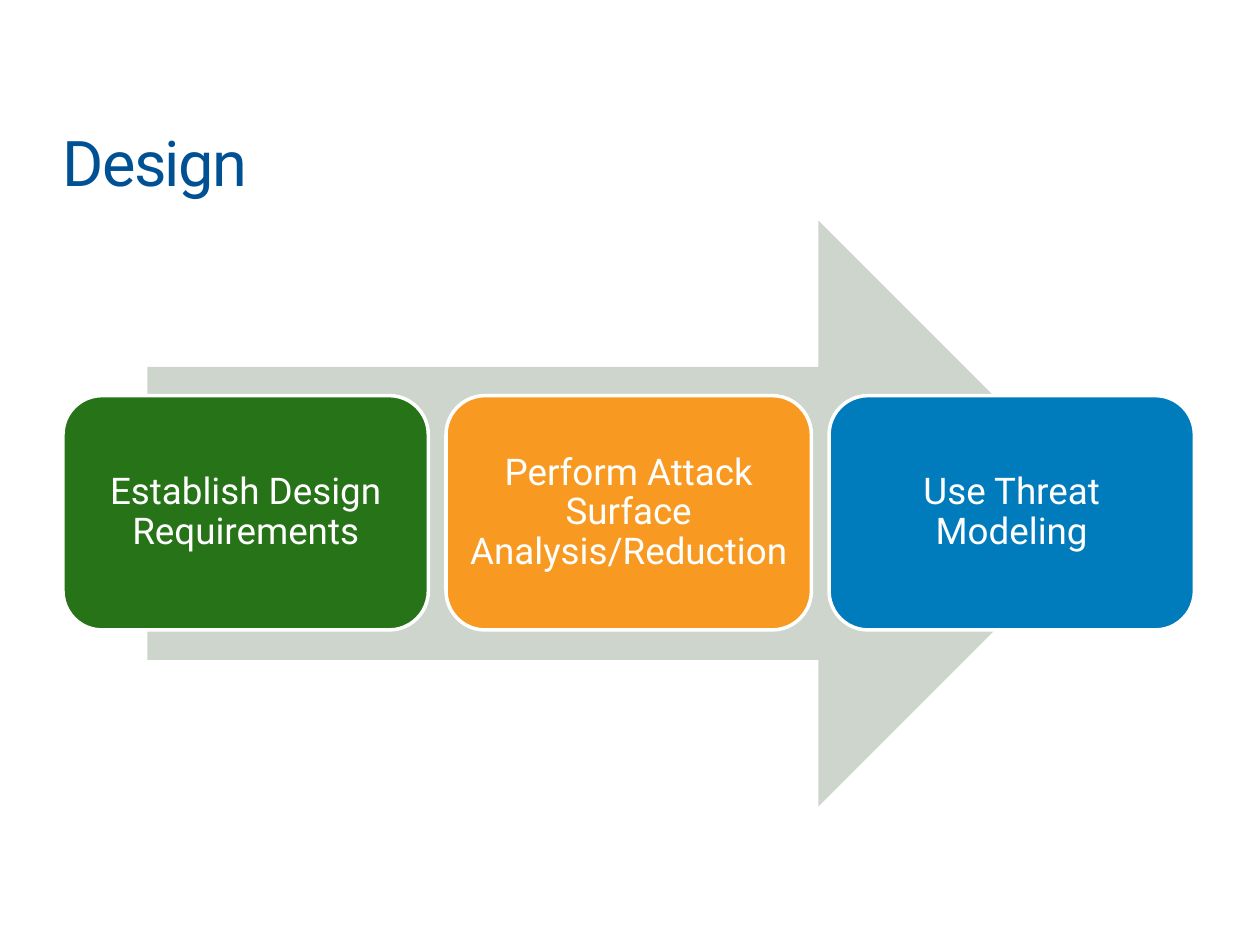
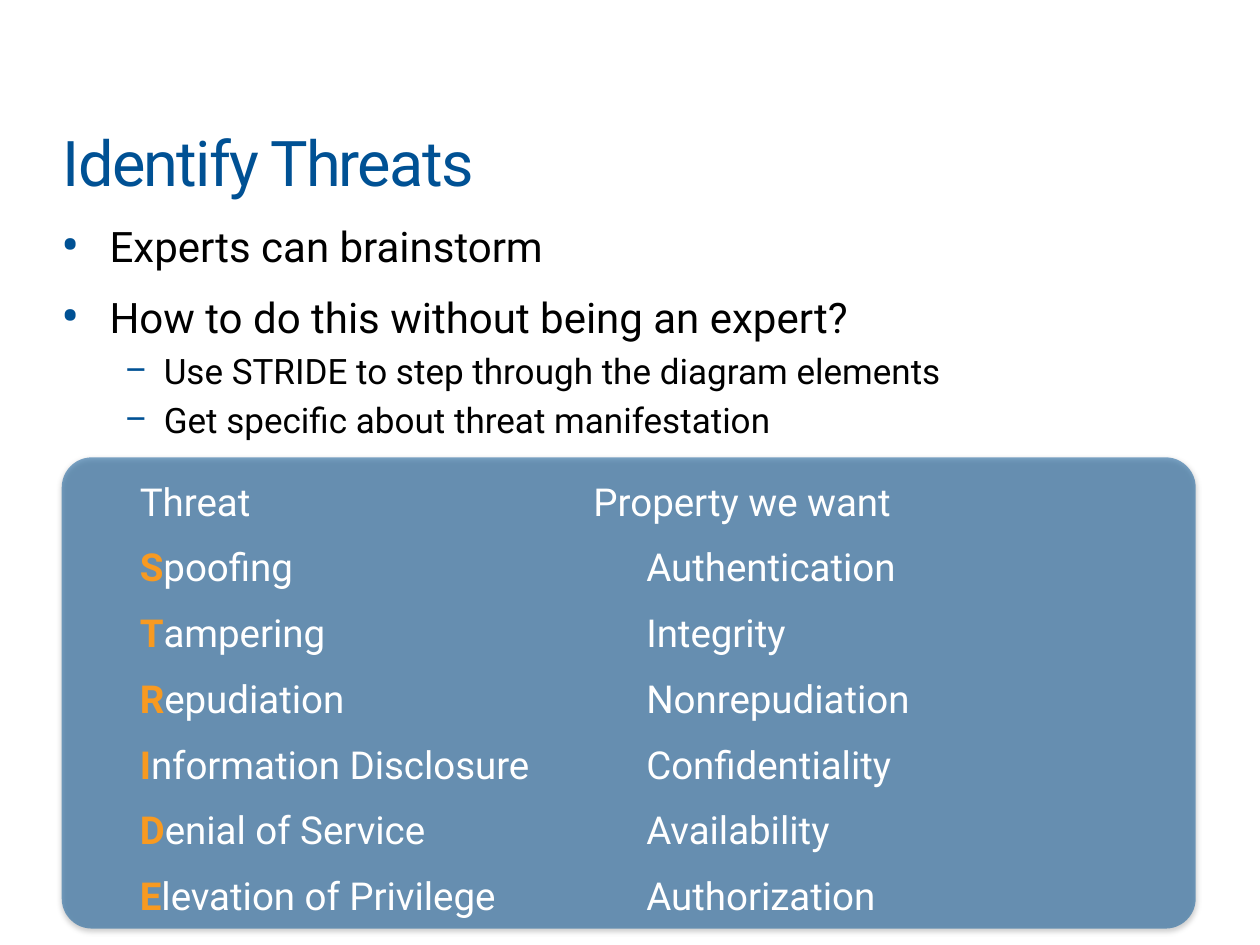
"""Builds two slides on secure design and on identifying threats."""
from dataclasses import dataclass

from lxml import etree
from pptx import Presentation
from pptx.dml.color import RGBColor
from pptx.enum.shapes import MSO_SHAPE
from pptx.enum.text import MSO_ANCHOR, PP_ALIGN
from pptx.oxml.ns import qn
from pptx.util import Inches, Pt

ROUNDED = MSO_SHAPE.ROUNDED_RECTANGLE
RIGHT_ARROW = MSO_SHAPE.RIGHT_ARROW
MIDDLE = MSO_ANCHOR.MIDDLE
CENTER = PP_ALIGN.CENTER

FONT = "Roboto"
COLORS = {
    "navy": "005194",
    "black": "000000",
    "white": "FFFFFF",
    "sage": "CDD5CC",
    "green": "277318",
    "orange": "F89A21",
    "blue": "007CBD",
}
NO_GRID_STYLE = "{2D5ABB26-0587-4C30-8999-92F81FD0307C}"


@dataclass(frozen=True)
class Card:
    text: str
    color: str


@dataclass(frozen=True)
class BulletStyle:
    symbol: str
    percent: int
    indent: float
    hanging: float
    size: int
    space_before: int


@dataclass(frozen=True)
class Bullet:
    text: str
    style: BulletStyle


@dataclass(frozen=True)
class Threat:
    name: str
    wanted: str


MAIN = BulletStyle("•", 130, 0.38, 0.38, 24, 12)
SUB = BulletStyle("–", 100, 0.81, 0.31, 20, 4)

CARDS = [
    Card("Establish Design Requirements", "green"),
    Card("Perform Attack Surface Analysis/Reduction", "orange"),
    Card("Use Threat Modeling", "blue"),
]
BULLETS = [
    Bullet("Experts can brainstorm", MAIN),
    Bullet("How to do this without being an expert?", MAIN),
    Bullet("Use STRIDE to step through the diagram elements", SUB),
    Bullet("Get specific about threat manifestation", SUB),
]
THREATS = [
    Threat("Spoofing", "Authentication"),
    Threat("Tampering", "Integrity"),
    Threat("Repudiation", "Nonrepudiation"),
    Threat("Information Disclosure", "Confidentiality"),
    Threat("Denial of Service", "Availability"),
    Threat("Elevation of Privilege", "Authorization"),
]


def rgb(name: str) -> RGBColor:
    return RGBColor.from_string(COLORS[name])


def add_span(para, text: str, size: int, color: str, bold: bool = False):
    span = para.add_run()
    span.text = text
    span.font.name = FONT
    span.font.size = Pt(size)
    span.font.bold = bold
    span.font.color.rgb = rgb(color)
    return span


def set_margins(frame, margin: float) -> None:
    frame.margin_left = frame.margin_right = Inches(margin)
    frame.margin_top = frame.margin_bottom = Inches(margin)


def add_text_frame(page, left: float, top: float, width: float, height: float):
    box = page.shapes.add_textbox(Inches(left), Inches(top), Inches(width), Inches(height))
    box.text_frame.word_wrap = True
    set_margins(box.text_frame, 0)
    return box.text_frame


def add_filled_shape(page, kind, left: float, top: float, width: float, height: float, color: str):
    shape = page.shapes.add_shape(kind, Inches(left), Inches(top), Inches(width), Inches(height))
    shape.shadow.inherit = False
    shape.fill.solid()
    shape.fill.fore_color.rgb = rgb(color)
    shape.line.fill.background()
    return shape


def add_titled_page(deck, title: str):
    page = deck.slides.add_slide(deck.slide_layouts[6])
    frame = add_text_frame(page, 0.5, 0.98, 9, 0.61)
    span = add_span(frame.paragraphs[0], title, 36, "navy")
    span.font._element.set("spc", "-100")
    return page


def add_card(page, card: Card, left: float) -> None:
    shape = add_filled_shape(page, ROUNDED, left, 3.14, 2.9, 1.86, card.color)
    shape.line.color.rgb = rgb("white")
    shape.line.width = Pt(2)
    frame = shape.text_frame
    frame.word_wrap = True
    frame.vertical_anchor = MIDDLE
    set_margins(frame, 0.08)
    para = frame.paragraphs[0]
    para.alignment = CENTER
    para.line_spacing = 0.9
    add_span(para, card.text, 21, "white")


def add_bullet(para, bullet: Bullet) -> None:
    style = bullet.style
    para.space_before = Pt(style.space_before)
    properties = para._p.get_or_add_pPr()
    properties.set("marL", str(Inches(style.indent)))
    properties.set("indent", str(-Inches(style.hanging)))
    tint = etree.SubElement(properties, qn("a:buClr"))
    etree.SubElement(tint, qn("a:srgbClr"), val=COLORS["navy"])
    etree.SubElement(properties, qn("a:buSzPct"), val=str(style.percent * 1000))
    etree.SubElement(properties, qn("a:buFont"), typeface=FONT)
    etree.SubElement(properties, qn("a:buChar"), char=style.symbol)
    add_span(para, bullet.text, style.size, "black")


def add_alpha(color_element, percent: int) -> None:
    etree.SubElement(color_element, qn("a:alpha"), val=str(percent * 1000))


def add_threat_panel(page) -> None:
    panel = add_filled_shape(page, ROUNDED, 0.49, 3.63, 9, 3.74, "navy")
    panel.adjustments[0] = 0.064
    properties = panel._element.spPr
    add_alpha(properties.find(qn("a:solidFill")).find(qn("a:srgbClr")), 50)
    shadow = etree.SubElement(
        properties.find(qn("a:effectLst")), qn("a:outerShdw"),
        blurRad=str(Pt(3.1)), dist=str(Pt(1.6)), dir=str(90 * 60000), rotWithShape="0",
    )
    add_alpha(etree.SubElement(shadow, qn("a:srgbClr"), val=COLORS["black"]), 38)


def start_cell(cell):
    cell.fill.background()
    para = cell.text_frame.paragraphs[0]
    para.line_spacing = 1.15
    para.space_before = Pt(10)
    return para


def add_threat_table(page) -> None:
    holder = page.shapes.add_table(
        len(THREATS) + 1, 2, Inches(1.01), Inches(3.71), Inches(7.43), Inches(2.41)
    )
    table = holder.table
    table.first_row = table.horz_banding = False
    table._tbl.tblPr.find(qn("a:tableStyleId")).text = NO_GRID_STYLE
    for column, width in zip(table.columns, (4.02, 3.41)):
        column.width = Inches(width)
    for index, row in enumerate(table.rows):
        row.height = Inches(0.33 if index else 0.43)

    table.cell(0, 0).merge(table.cell(0, 1))
    header = start_cell(table.cell(0, 0))
    tabs = etree.SubElement(header._p.get_or_add_pPr(), qn("a:tabLst"))
    etree.SubElement(tabs, qn("a:tab"), pos=str(Inches(3.6)), algn="l")
    add_span(header, "Threat\tProperty we want", 22, "white")

    for index, threat in enumerate(THREATS, start=1):
        name = start_cell(table.cell(index, 0))
        add_span(name, threat.name[0], 22, "orange", bold=True)
        add_span(name, threat.name[1:], 22, "white")
        add_span(start_cell(table.cell(index, 1)), threat.wanted, 22, "white")


def build_design_page(deck) -> None:
    page = add_titled_page(deck, "Design")
    add_filled_shape(page, RIGHT_ARROW, 1.17, 1.75, 7.65, 4.65, "sage")
    for index, card in enumerate(CARDS):
        add_card(page, card, 0.5 + 3.04 * index)


def build_threats_page(deck) -> None:
    page = add_titled_page(deck, "Identify Threats")
    add_threat_panel(page)
    frame = add_text_frame(page, 0.49, 1.75, 9, 2.36)
    for index, bullet in enumerate(BULLETS):
        add_bullet(frame.add_paragraph() if index else frame.paragraphs[0], bullet)
    add_threat_table(page)


def main() -> None:
    deck = Presentation()
    deck.slide_width = Inches(10)
    deck.slide_height = Inches(7.5)
    build_design_page(deck)
    build_threats_page(deck)
    deck.save("out.pptx")


if __name__ == "__main__":
    main()
